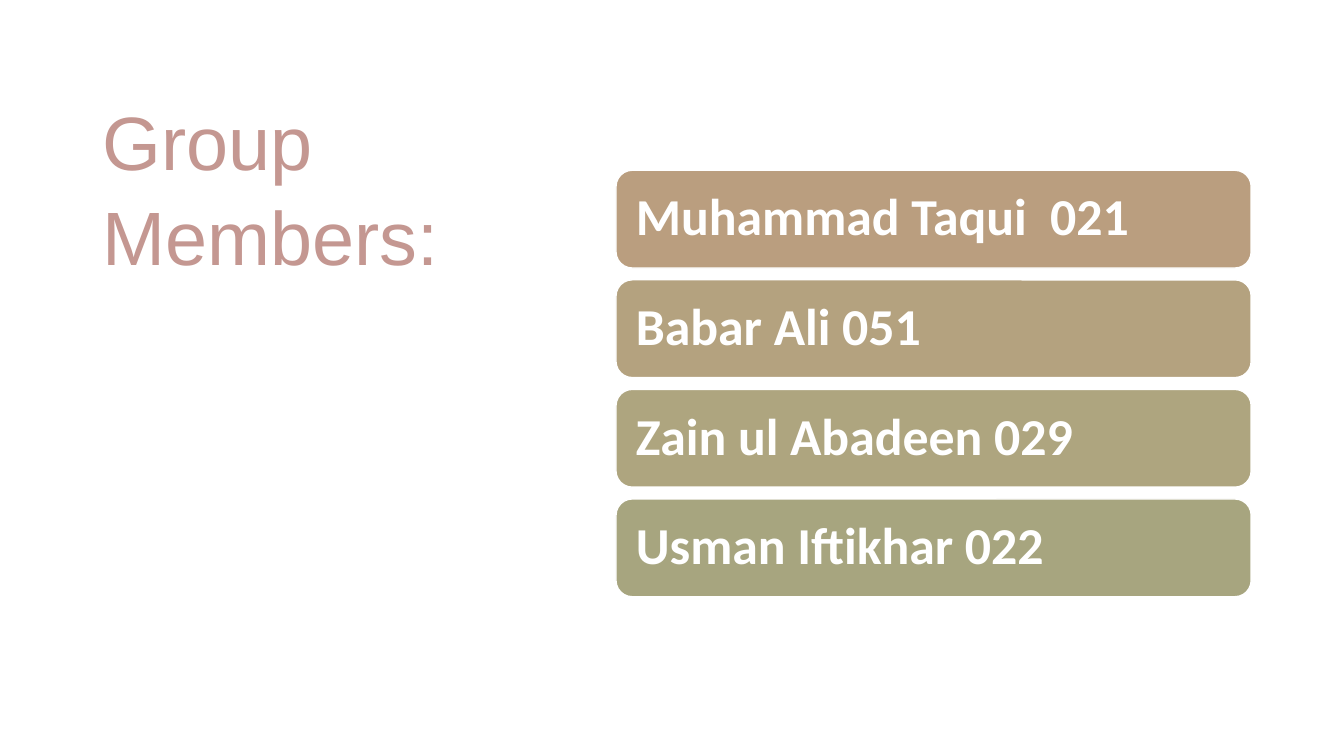
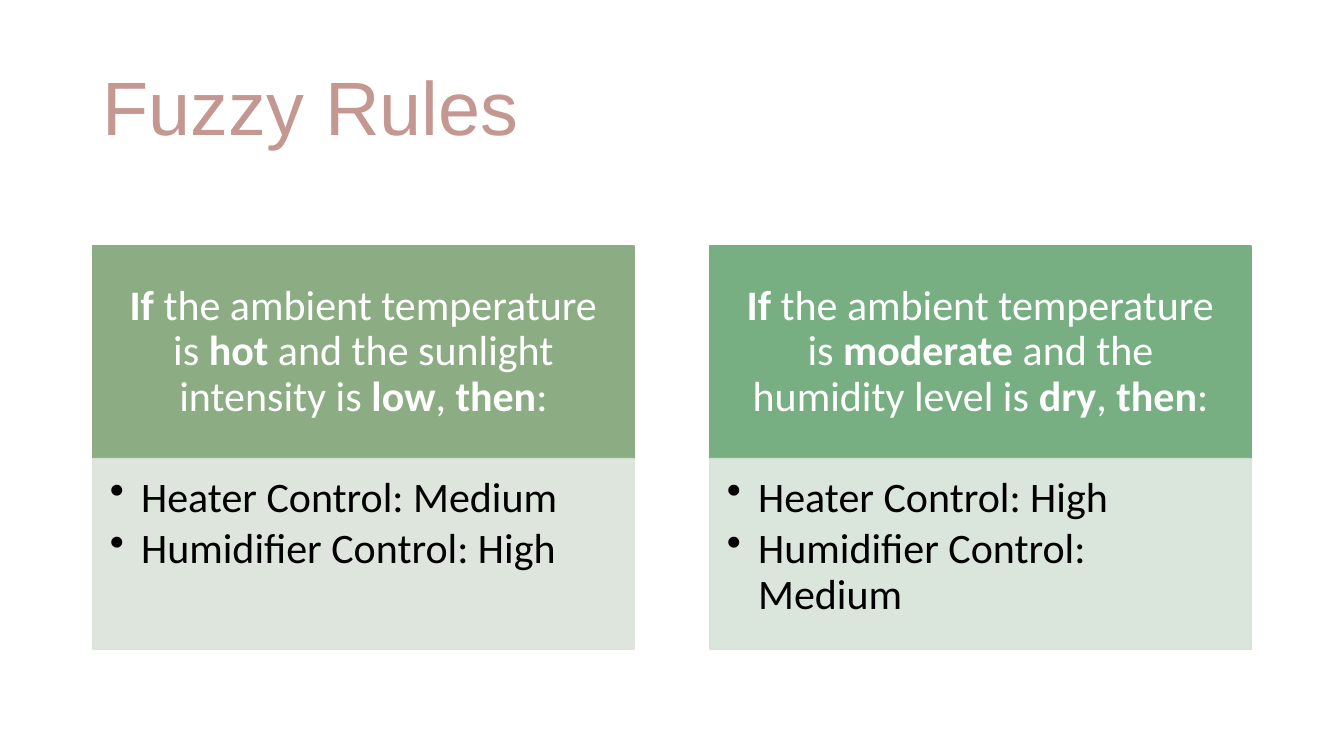
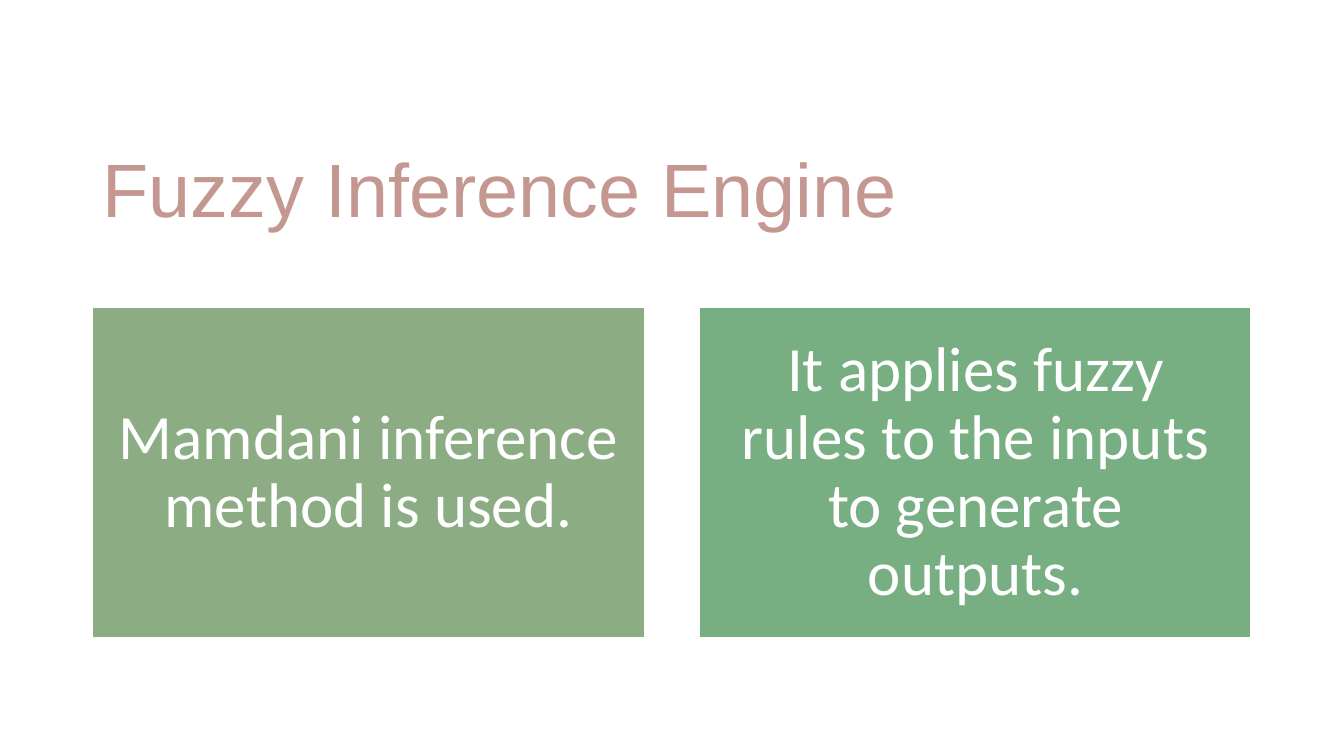
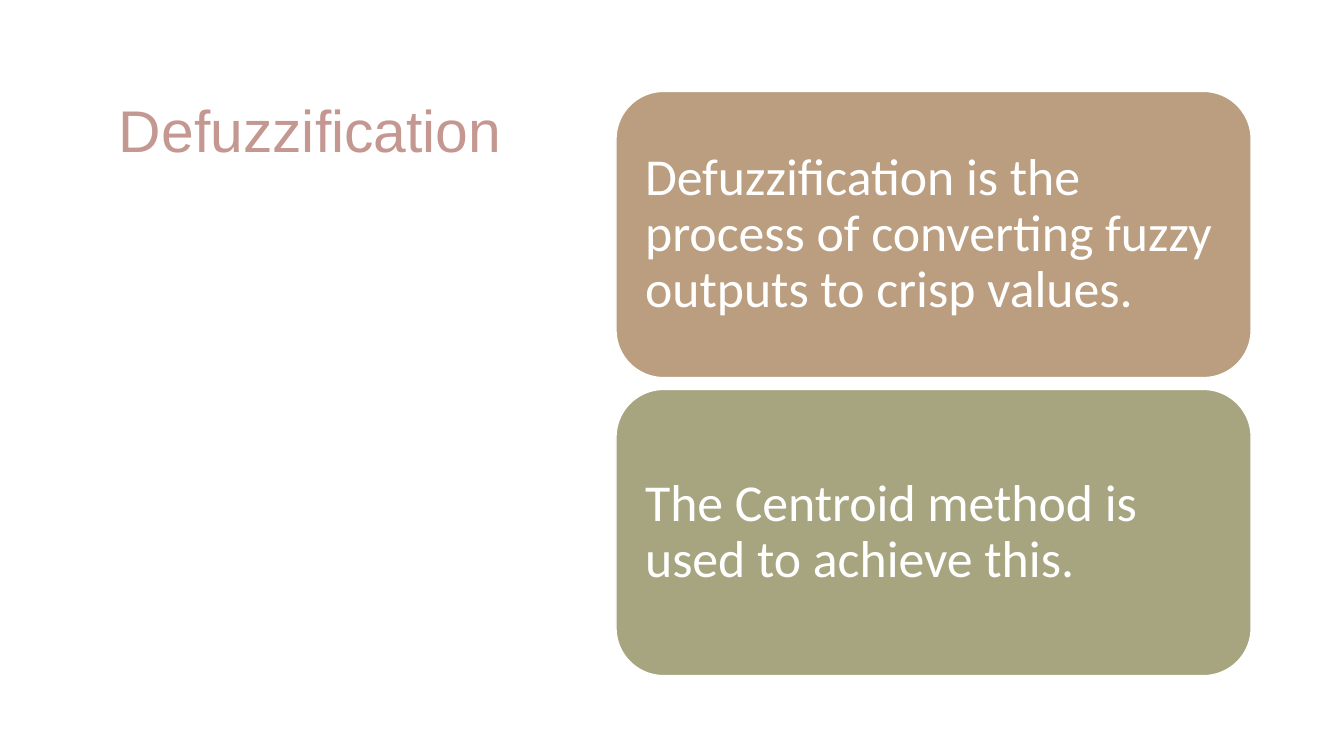
"""Build four slides on a fuzzy climate controller: members, rules, inference and defuzzification."""
import dataclasses

import pptx
import pptx.dml.color
import pptx.enum.shapes
import pptx.enum.text
import pptx.oxml.ns
import pptx.util
from lxml import etree


@dataclasses.dataclass(frozen=True)
class Theme:
    heading_font: str = "Arial"
    body_font: str = "Calibri"
    heading: str = "C49791"
    white: str = "FFFFFF"
    black: str = "000000"
    stack: tuple = ("BA9E7F", "B4A27F", "AEA57F", "A7A57F")
    pair: tuple = ("8CAD83", "78AF82")
    pair_tints: tuple = ("DAE3D9", "D6E3D8")
    title_size: int = 54
    small_title_size: int = 42
    statement_size: int = 45
    stack_size: int = 37
    rule_size: int = 30


theme = Theme()
rgb = pptx.dml.color.RGBColor.from_string
inches = pptx.util.Inches
qn = pptx.oxml.ns.qn
RECT = pptx.enum.shapes.MSO_SHAPE.RECTANGLE
ROUNDED = pptx.enum.shapes.MSO_SHAPE.ROUNDED_RECTANGLE
TOP = pptx.enum.text.MSO_ANCHOR.TOP
MIDDLE = pptx.enum.text.MSO_ANCHOR.MIDDLE
BOTTOM = pptx.enum.text.MSO_ANCHOR.BOTTOM
LEFT = pptx.enum.text.PP_ALIGN.LEFT
CENTER = pptx.enum.text.PP_ALIGN.CENTER

deck = pptx.Presentation()
deck.slide_width, deck.slide_height = inches(13.33), inches(7.5)
blank = deck.slide_layouts[6]

margin = 0.92
content_width = 13.33 - 2 * margin
side_title = (margin, 0.85, 4.41, 5.9)
stack_left, stack_width, stack_middle, stack_gap = 6.11, 6.3, 3.805, 0.117


def add_title(slide, text, box, size=theme.title_size, anchor=TOP):
    frame = slide.shapes.add_textbox(*map(inches, box)).text_frame
    frame.word_wrap = True
    frame.vertical_anchor = anchor
    frame.paragraphs[0].line_spacing = 1.05
    run = frame.paragraphs[0].add_run()
    run.text = text
    run.font.name, run.font.size = theme.heading_font, pptx.util.Pt(size)
    run.font.color.rgb = rgb(theme.heading)


def add_panel(slide, kind, box, fill, line, paragraphs, size, insets,
              align=CENTER, color=theme.white, bulleted=False):
    panel = slide.shapes.add_shape(kind, *map(inches, box))
    panel.shadow.inherit = False
    panel.fill.solid()
    panel.fill.fore_color.rgb = rgb(fill)
    panel.line.color.rgb = rgb(line)
    panel.line.width = pptx.util.Pt(1)
    frame = panel.text_frame
    frame.word_wrap = True
    frame.vertical_anchor = TOP if bulleted else MIDDLE
    (frame.margin_left, frame.margin_top,
     frame.margin_right, frame.margin_bottom) = map(inches, insets)
    for index, text in enumerate(paragraphs):
        paragraph = frame.add_paragraph() if index else frame.paragraphs[0]
        paragraph.alignment = align
        paragraph.line_spacing = 0.9
        if bulleted:
            paragraph.space_after = pptx.util.Pt(size * 0.15)
            properties = paragraph._p.get_or_add_pPr()
            properties.set("marL", str(inches(0.31)))
            properties.set("indent", str(inches(-0.31)))
            etree.SubElement(properties, qn("a:buChar"), char="•")
        for position, part in enumerate(text.split("**")):
            if part:
                run = paragraph.add_run()
                run.text = part
                run.font.name, run.font.size = theme.body_font, pptx.util.Pt(size)
                run.font.bold = position % 2 == 1
                run.font.color.rgb = rgb(color)
    return panel


stacks = [
    ("Group Members:", theme.title_size, 0.97, theme.stack,
     ["**Muhammad Taqui  021**", "**Babar Ali 051**",
      "**Zain ul Abadeen 029**", "**Usman Iftikhar 022**"]),
    (" Defuzzification", theme.small_title_size, 2.84, theme.stack[::3],
     ["Defuzzification is the process of converting fuzzy outputs to crisp values.",
      "The Centroid method is used to achieve this."]),
]
rules = [
    ("**If** the ambient temperature is **hot** and the sunlight intensity is **low**, **then**:",
     ["Heater Control: Medium", "Humidifier Control: High"]),
    ("**If** the ambient temperature is **moderate** and the humidity level is **dry**, **then**:",
     ["Heater Control: High", "Humidifier Control: Medium"]),
]
statements = ["Mamdani inference method is used.",
              "It applies fuzzy rules to the inputs to generate outputs."]

members_slide, rules_slide, engine_slide, defuzzification_slide = [
    deck.slides.add_slide(blank) for _ in range(4)]

for slide, (title, title_size, height, fills, entries) in zip(
        (members_slide, defuzzification_slide), stacks):
    add_title(slide, title, side_title, title_size)
    pitch = height + stack_gap
    stack_top = stack_middle - (len(entries) * pitch - stack_gap) / 2
    for row, (fill, entry) in enumerate(zip(fills, entries)):
        add_panel(slide, ROUNDED, (stack_left, stack_top + row * pitch, stack_width, height),
                  fill, theme.white, [entry], theme.stack_size, [0.15] * 4, LEFT)

add_title(rules_slide, "Fuzzy Rules", (margin, 0.4, 11.67, 1.14), anchor=BOTTOM)
rule_gap = 0.75
rule_width = (content_width - rule_gap) / 2
for column, (condition, outcomes) in enumerate(rules):
    left = margin + column * (rule_width + rule_gap)
    fill, tint = theme.pair[column], theme.pair_tints[column]
    add_panel(rules_slide, RECT, (left, 2.44, rule_width, 2.11), fill, fill,
              [condition], theme.rule_size, (0.23, 0.13, 0.23, 0.13))
    outcome = add_panel(rules_slide, RECT, (left, 4.55, rule_width, 1.89), tint, tint,
                        outcomes, theme.rule_size, (0.17, 0.17, 0.23, 0.26),
                        LEFT, theme.black, bulleted=True)
    for shade in outcome._element.spPr.iter(qn("a:srgbClr")):
        etree.SubElement(shade, qn("a:alpha"), val="90000")

add_title(engine_slide, "Fuzzy Inference Engine", (margin, 0.4, content_width, 1.96), anchor=BOTTOM)
statement_gap = 0.55
statement_width = (content_width - statement_gap) / 2
for column, statement in enumerate(statements):
    left = margin + column * (statement_width + statement_gap)
    add_panel(engine_slide, RECT, (left, 3.05, statement_width, 3.28), theme.pair[column],
              theme.white, [statement], theme.statement_size, [0.19] * 4)

deck.save("out.pptx")
